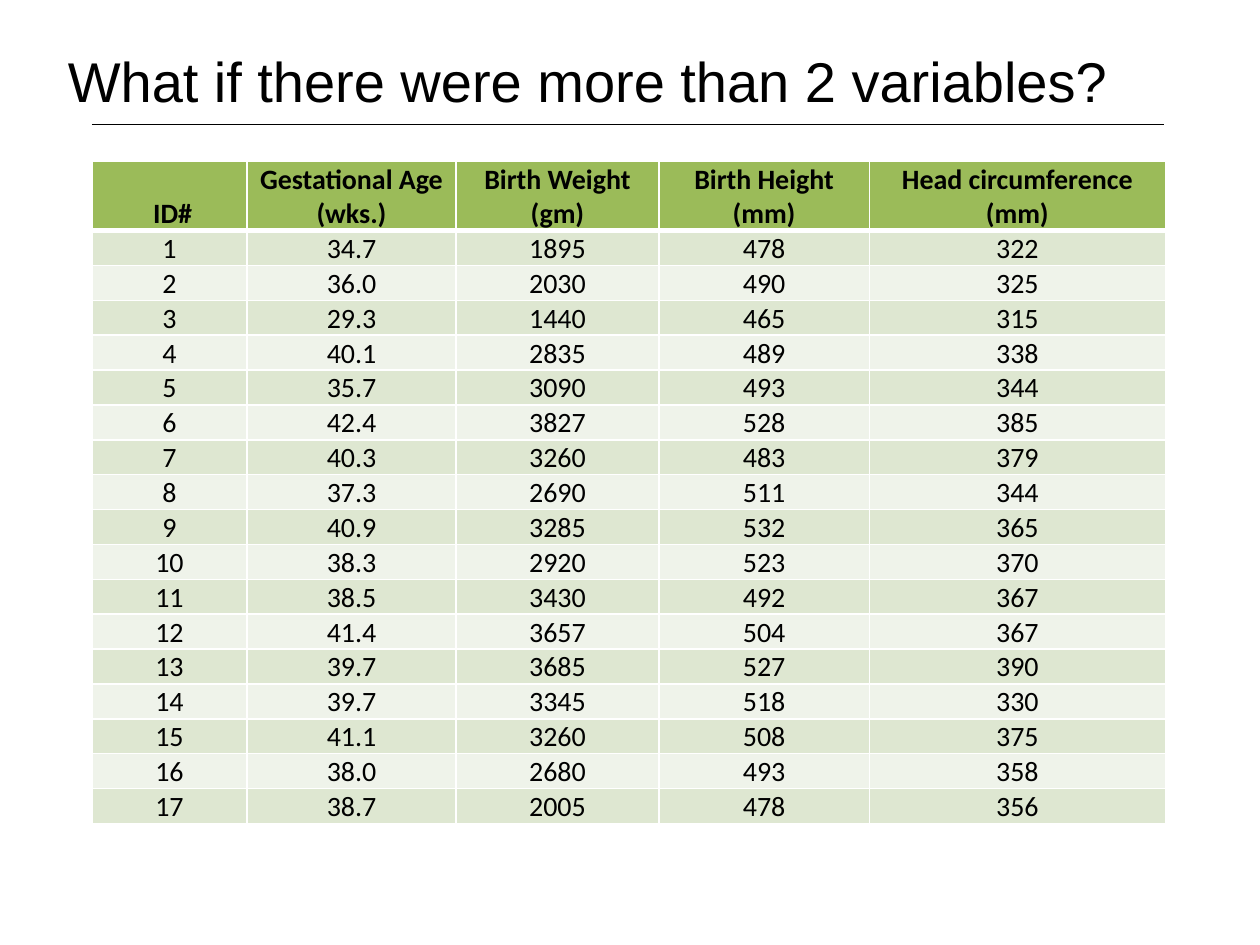
from lxml.etree import SubElement as Sub
from pptx import Presentation
from pptx.dml.color import RGBColor as Rgb
from pptx.enum.shapes import MSO_CONNECTOR as Link
from pptx.enum.text import MSO_ANCHOR as Anchor, PP_ALIGN as Align
from pptx.oxml.ns import qn
from pptx.util import Pt

COLORS = {
    "ink": "000000",
    "head": "9BBB59",
    "odd": "DEE7D1",
    "even": "EFF3EA",
    "rule": "FFFFFF",
}

HEADS = [
    " ID#",
    "Gestational Age (wks.)",
    "Birth Weight (gm)",
    "Birth Height (mm)",
    "Head circumference (mm)",
]

BIRTHS = [
    ("34.7", 1895, 478, 322),
    ("36.0", 2030, 490, 325),
    ("29.3", 1440, 465, 315),
    ("40.1", 2835, 489, 338),
    ("35.7", 3090, 493, 344),
    ("42.4", 3827, 528, 385),
    ("40.3", 3260, 483, 379),
    ("37.3", 2690, 511, 344),
    ("40.9", 3285, 532, 365),
    ("38.3", 2920, 523, 370),
    ("38.5", 3430, 492, 367),
    ("41.4", 3657, 504, 367),
    ("39.7", 3685, 527, 390),
    ("39.7", 3345, 518, 330),
    ("41.1", 3260, 508, 375),
    ("38.0", 2680, 493, 358),
    ("38.7", 2005, 478, 356),
]


class Deck:
    title_font = "Arial"
    table_font = "Calibri"

    def __init__(self, wide, high):
        self.show = Presentation()
        self.show.slide_width = Pt(wide)
        self.show.slide_height = Pt(high)
        self.slide = self.show.slides.add_slide(self.show.slide_layouts[6])

    def color(self, name):
        return Rgb.from_string(COLORS[name])

    def run(self, para, text, font, size, bold=False):
        run = para.add_run()
        run.text = text
        run.font.name = font
        run.font.size = Pt(size)
        run.font.bold = bold
        run.font.color.rgb = self.color("ink")

    def title(self, text, left, top, wide, high):
        box = self.slide.shapes.add_textbox(Pt(left), Pt(top), Pt(wide), Pt(high))
        frame = box.text_frame
        frame.word_wrap = True
        frame.vertical_anchor = Anchor.MIDDLE
        self.run(frame.paragraphs[0], text, self.title_font, 32)

    def line(self, left, right, y, width):
        line = self.slide.shapes.add_connector(
            Link.STRAIGHT, Pt(left), Pt(y), Pt(right), Pt(y)
        )
        line.line.color.rgb = self.color("ink")
        line.line.width = Pt(width)
        Sub(line._element.spPr, qn("a:effectLst"))

    def border(self, cell, widths):
        props = cell._tc.get_or_add_tcPr()
        for side, width in zip("LRTB", widths):
            edge = Sub(props, qn(f"a:ln{side}"), w=str(Pt(width)))
            fill = Sub(edge, qn("a:solidFill"))
            Sub(fill, qn("a:srgbClr"), val=COLORS["rule"])

    def cell(self, cell, text, row):
        self.border(cell, (1, 1, 3 if row == 1 else 1, 3 if row == 0 else 1))
        name = "head" if row == 0 else "odd" if row % 2 else "even"
        cell.fill.solid()
        cell.fill.fore_color.rgb = self.color(name)
        cell.vertical_anchor = Anchor.BOTTOM
        cell.margin_left = cell.margin_right = cell.margin_top = Pt(0.72)
        cell.margin_bottom = Pt(0)
        para = cell.text_frame.paragraphs[0]
        para.alignment = Align.CENTER
        self.run(para, text, self.table_font, 16, row == 0)

    def table(self, data, left, top, high, cols, head, body):
        shape = self.slide.shapes.add_table(
            len(data), len(cols), Pt(left), Pt(top), Pt(sum(cols)), Pt(high)
        )
        table = shape.table
        for col, wide in zip(table.columns, cols):
            col.width = Pt(wide)
        for i, (row, texts) in enumerate(zip(table.rows, data)):
            row.height = Pt(body if i else head)
            for cell, text in zip(row.cells, texts):
                self.cell(cell, str(text), i)
        shape.height = Pt(high)

    def save(self):
        self.show.save("out.pptx")


def main():
    deck = Deck(720, 540)
    deck.line(52.56, 665.28, 71.28, 0.25)
    deck.title("What if there were more than 2 variables?", 31.68, 22.32, 614.88, 47.52)
    data = [HEADS] + [(i, *birth) for i, birth in enumerate(BIRTHS, 1)]
    cols = [88.56, 119.52, 115.92, 120.24, 169.2]
    deck.table(data, 52.56, 92.16, 378.72, cols, 39.6, 18.72)
    deck.save()


if __name__ == "__main__":
    main()
